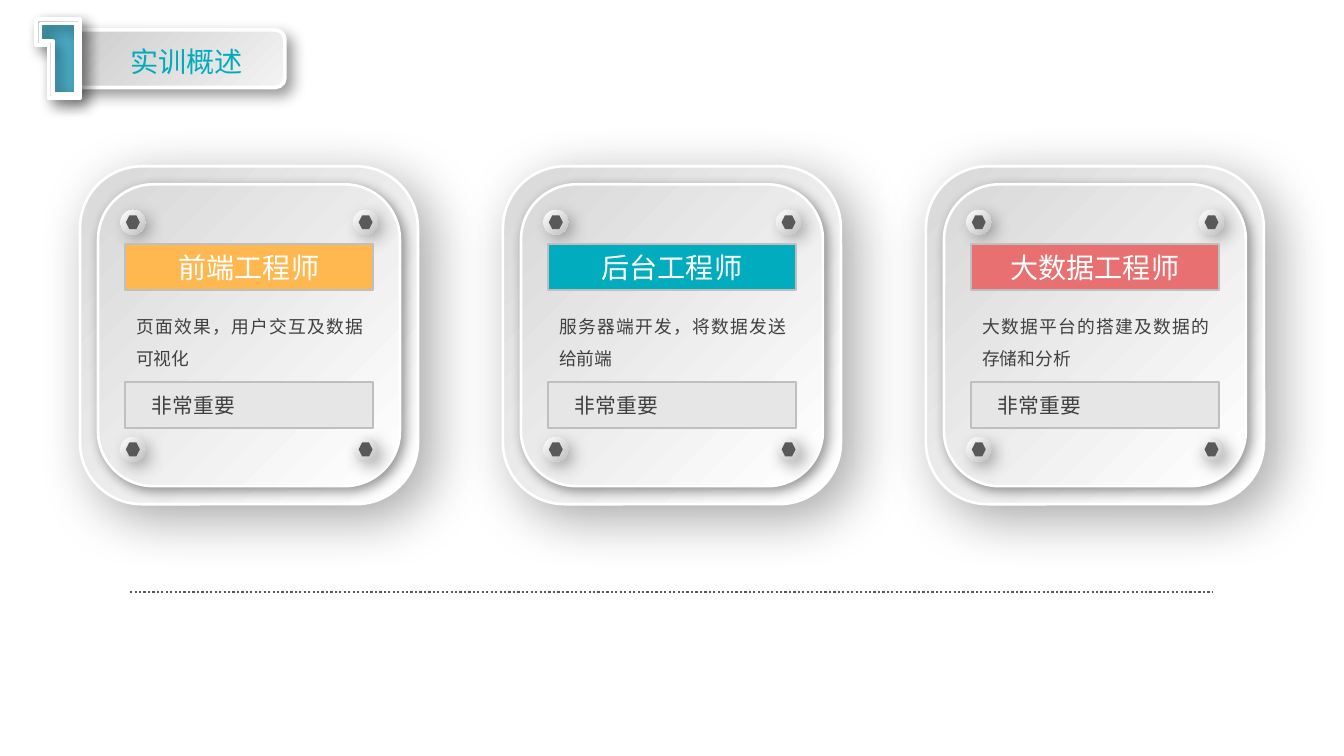
from dataclasses import dataclass
from itertools import product

from lxml.etree import SubElement
from pptx import Presentation
from pptx.dml.color import RGBColor
from pptx.enum.dml import MSO_LINE
from pptx.enum.shapes import MSO_CONNECTOR, MSO_SHAPE
from pptx.enum.text import MSO_ANCHOR, MSO_AUTO_SIZE, PP_ALIGN
from pptx.oxml.ns import qn
from pptx.util import Pt


@dataclass(frozen=True)
class Theme:
    font: str = "Noto Sans CJK SC"
    heading_size: float = 19
    rating_size: float = 14
    body_size: float = 12
    white: str = "FFFFFF"
    title: str = "01ABBD"
    text: str = "404040"
    dark: str = "595959"
    border: str = "BFBFBF"
    rating: str = "E6E6E6"
    numeral: str = "4BACC6"
    panel: tuple = ("D9D9D9", "FFFFFF")
    badge: tuple = ("CBCBCB", "F3F3F3")
    screw: tuple = ("FFFFFF", "BFBFBF")


THEME = Theme()

# Shadows: opacity in percent, blur and distance in points
CARD_SHADOW = (35, 37, 12)
PANEL_SHADOW = (40, 8, 3)
SCREW_SHADOW = (29, 11, 5)
BADGE_SHADOW = (40, 10, 6)

CARD_LEFT, CARD_TOP, CARD_SIZE, CARD_PITCH = 54, 112.3, 228.2, 285.5
PANEL_INSET = 12.2
BAR_INSET, BAR_WIDTH, BAR_HEIGHT = 30.2, 167.8, 31

CARDS = [
    ("前端工程师", "FFB850", "页面效果，用户交互及数据可视化"),
    ("后台工程师", "01ACBE", "服务器端开发，将数据发送给前端"),
    ("大数据工程师", "E87071", "大数据平台的搭建及数据的存储和分析"),
]
RATING = "非常重要"


def color(value):
    return RGBColor.from_string(value)


def add_effects(shape, shadow=None):
    """Give the shape its own effect list, with an outer shadow if wanted."""
    effects = SubElement(shape.element.spPr, qn("a:effectLst"))
    if shadow:
        opacity, blur, distance = shadow
        outer = SubElement(effects, qn("a:outerShdw"), blurRad=str(Pt(blur)),
                           dist=str(Pt(distance)), dir="2700000",
                           algn="tl", rotWithShape="0")
        black = SubElement(outer, qn("a:srgbClr"), val="000000")
        SubElement(black, qn("a:alpha"), val=str(opacity * 1000))


def format_shape(shape, fill, line=None, line_width=1.25, shadow=None):
    """Fill with one colour, or with a diagonal gradient for a pair of colours."""
    if isinstance(fill, tuple):
        shape.fill.gradient()
        shape.fill.gradient_angle = 315
        for stop, value in zip(shape.fill.gradient_stops, fill):
            stop.color.rgb = color(value)
    else:
        shape.fill.solid()
        shape.fill.fore_color.rgb = color(fill)
    if line:
        shape.line.color.rgb = color(line)
        shape.line.width = Pt(line_width)
    else:
        shape.line.fill.background()
    add_effects(shape, shadow)


def add_preset(slide, kind, left, top, width, height, fill, **style):
    shape = slide.shapes.add_shape(kind, Pt(left), Pt(top), Pt(width), Pt(height))
    format_shape(shape, fill, **style)
    return shape


def write_text(shape, text, *, size, color_value, align=PP_ALIGN.LEFT,
               anchor=MSO_ANCHOR.MIDDLE, left_margin=7.2, line_spacing=None):
    frame = shape.text_frame
    frame.word_wrap = True
    frame.auto_size = MSO_AUTO_SIZE.NONE
    frame.vertical_anchor = anchor
    frame.margin_left, frame.margin_right = Pt(left_margin), Pt(7.2)
    frame.margin_top = frame.margin_bottom = Pt(3.6)
    paragraph = frame.paragraphs[0]
    paragraph.alignment = align
    paragraph.space_before = Pt(0)
    if line_spacing:
        paragraph.line_spacing = Pt(line_spacing)
    run = paragraph.add_run()
    run.text = text
    run.font.name = THEME.font
    run.font.size = Pt(size)
    run.font.color.rgb = color(color_value)
    SubElement(run.font._element, qn("a:ea"), typeface=THEME.font)


def add_panel(slide, left, top, size, shadow):
    panel = add_preset(slide, MSO_SHAPE.ROUNDED_RECTANGLE, left, top, size, size,
                       THEME.panel, line=THEME.white, line_width=1.75,
                       shadow=shadow)
    panel.adjustments[0] = 0.183


def add_screw(slide, left, top):
    size, hole, inset = 16.6, 9.4, 3.6
    add_preset(slide, MSO_SHAPE.OVAL, left, top, size, size, THEME.screw,
               shadow=SCREW_SHADOW)
    add_preset(slide, MSO_SHAPE.HEXAGON, left + inset, top + inset, hole, hole,
               THEME.dark)


def add_bar(slide, left, top, fill, text, **text_format):
    bar = add_preset(slide, MSO_SHAPE.RECTANGLE, left, top, BAR_WIDTH, BAR_HEIGHT,
                     fill, line=THEME.border)
    write_text(bar, text, **text_format)


def add_card(slide, left, role, accent, duty):
    # Two stacked panels with a screw in each corner
    add_panel(slide, left, CARD_TOP, CARD_SIZE, CARD_SHADOW)
    add_panel(slide, left + PANEL_INSET, CARD_TOP + PANEL_INSET,
              CARD_SIZE - 2 * PANEL_INSET, PANEL_SHADOW)
    for across, top in product((27.4, 184.5), (141.8, 295.2)):
        add_screw(slide, left + across, top)

    # Role, duty and rating
    add_bar(slide, left + BAR_INSET, 164.9, accent, role, size=THEME.heading_size,
            color_value=THEME.white, align=PP_ALIGN.CENTER)
    box = slide.shapes.add_textbox(Pt(left + 30.8), Pt(203), Pt(BAR_WIDTH), Pt(51))
    write_text(box, duty, size=THEME.body_size, color_value=THEME.text,
               align=PP_ALIGN.JUSTIFY, anchor=MSO_ANCHOR.TOP, line_spacing=21.3)
    add_bar(slide, left + BAR_INSET, 257.8, THEME.rating, RATING,
            size=THEME.rating_size, color_value=THEME.text, left_margin=18.4)


def numeral_outline(grow):
    """Corners of the figure 1, moved outwards by grow points."""
    left, stem, right = 25.9 - grow, 34.2 - grow, 52.6 + grow
    top, arm, bottom = 14.4 - grow, 29.2 + grow, 64.8 + grow
    return [(Pt(x), Pt(y)) for x, y in (
        (left, top), (right, top), (right, bottom),
        (stem, bottom), (stem, arm), (left, arm))]


def add_numeral(slide, outlines, fill, **style):
    first, *others = outlines
    builder = slide.shapes.build_freeform(*first[0])
    builder.add_line_segments(first[1:], close=True)
    for outline in others:
        builder.move_to(*outline[0])
        builder.add_line_segments(outline[1:], close=True)
    format_shape(builder.convert_to_shape(), fill, **style)


def add_heading(slide, text):
    style = dict(line=THEME.white, line_width=2.5, shadow=BADGE_SHADOW)
    add_preset(slide, MSO_SHAPE.ROUNDED_RECTANGLE, 41.8, 20.2, 150.5, 38.9,
               THEME.badge, **style)
    add_numeral(slide, [numeral_outline(0)], THEME.numeral, **style)
    add_numeral(slide, [numeral_outline(1.4), numeral_outline(-1.4)[::-1]],
                THEME.badge, **style)

    # Bring the title in front of its badge
    title = slide.shapes.title
    title.left, title.top, title.width, title.height = (
        Pt(80.6), Pt(26.5), Pt(150.5), Pt(30.2))
    write_text(title, text, size=THEME.heading_size, color_value=THEME.title)
    title.element.getparent().append(title.element)


def add_divider(slide, left, right, top):
    divider = slide.shapes.add_connector(MSO_CONNECTOR.STRAIGHT, Pt(left), Pt(top),
                                         Pt(right), Pt(top))
    divider.line.color.rgb = color(THEME.dark)
    divider.line.width = Pt(1.5)
    divider.line.dash_style = MSO_LINE.ROUND_DOT
    add_effects(divider)


def main():
    presentation = Presentation()
    presentation.slide_width, presentation.slide_height = Pt(907.2), Pt(510.5)
    slide = presentation.slides.add_slide(presentation.slide_layouts[5])
    for index, card in enumerate(CARDS):
        add_card(slide, CARD_LEFT + index * CARD_PITCH, *card)
    add_divider(slide, 87.8, 818.6, 399.6)
    add_heading(slide, "实训概述")
    presentation.save("out.pptx")


if __name__ == "__main__":
    main()
